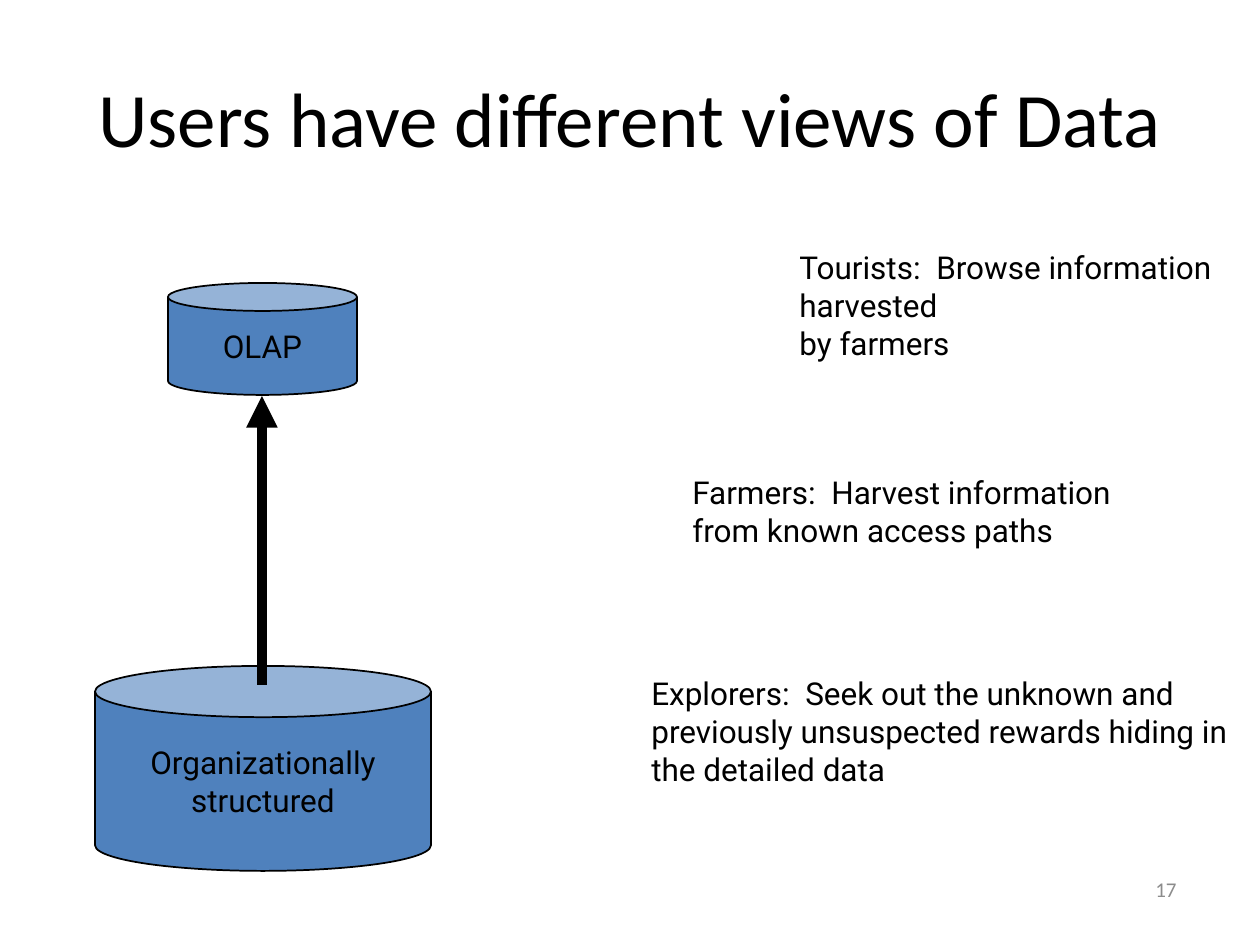
from lxml import etree
from pptx import Presentation
from pptx.dml.color import RGBColor
from pptx.enum.shapes import MSO_CONNECTOR, MSO_SHAPE
from pptx.enum.text import MSO_ANCHOR, PP_ALIGN
from pptx.oxml.ns import qn
from pptx.util import Pt

CAN, STRAIGHT = MSO_SHAPE.CAN, MSO_CONNECTOR.STRAIGHT
TOP, MIDDLE = MSO_ANCHOR.TOP, MSO_ANCHOR.MIDDLE
LEFT, CENTER, RIGHT = PP_ALIGN.LEFT, PP_ALIGN.CENTER, PP_ALIGN.RIGHT
PX = 914400 // 126
BLACK, BLUE, GRAY = "000000", "4F81BD", "8C8C8C"


def color(hex_string):
    return RGBColor.from_string(hex_string)


def write(shape, paragraphs, size=18, font="Roboto", fill=BLACK,
          align=LEFT, anchor=TOP, wrap=True):
    frame = shape.text_frame
    frame.word_wrap = wrap
    frame.vertical_anchor = anchor
    for index, text in enumerate(paragraphs):
        paragraph = frame.add_paragraph() if index else frame.paragraphs[0]
        paragraph.text = text
        paragraph.alignment = align
        paragraph.font.size = Pt(size)
        paragraph.font.name = font
        paragraph.font.color.rgb = color(fill)


presentation = Presentation()
presentation.slide_width = 1260 * PX
presentation.slide_height = 945 * PX
slide = presentation.slides.add_slide(presentation.slide_layouts[5])
shapes = slide.shapes

# Title
title = shapes.title
title.left, title.top, title.width, title.height = 63 * PX, 38 * PX, 1134 * PX, 157 * PX
write(title, ["Users have different views of Data"], size=44, font="Calibri",
      align=CENTER, anchor=MIDDLE)

# Data stores
stores = [
    (["Organizationally", "structured"], 95, 666, 336, 205),
    (["OLAP"], 168, 283, 189, 112),
]
for lines, left, top, width, height in stores:
    store = shapes.add_shape(CAN, left * PX, top * PX, width * PX, height * PX)
    store.shadow.inherit = False
    store.fill.solid()
    store.fill.fore_color.rgb = color(BLUE)
    store.line.color.rgb = color(BLACK)
    store.line.width = Pt(1)
    write(store, lines, align=CENTER, anchor=MIDDLE, wrap=False)

# Arrow from the structured data up to OLAP
arrow = shapes.add_connector(STRAIGHT, 262 * PX, 685 * PX, 262 * PX, 396 * PX)
arrow.line.color.rgb = color(BLACK)
arrow.line.width = Pt(6)
etree.SubElement(arrow.line._get_or_add_ln(), qn("a:tailEnd"), type="triangle")
etree.SubElement(arrow._element.spPr, qn("a:effectLst"))

# Kinds of users
users = [
    (["Explorers:  Seek out the unknown and previously unsuspected rewards "
      "hiding in the detailed data"], 639, 668, 621, 214),
    (["Farmers:  Harvest information", "from known access paths"], 680, 467, 582, 113),
    (["Tourists:  Browse information harvested\vby farmers"], 787, 242, 444, 164),
]
for lines, left, top, width, height in users:
    box = shapes.add_textbox(left * PX, top * PX, width * PX, height * PX)
    write(box, lines)

# Slide number
number = shapes.add_textbox(927 * PX, 858 * PX, 262 * PX, 63 * PX)
write(number, ["17"], size=12, font="Calibri", fill=GRAY, align=RIGHT, anchor=MIDDLE)

presentation.save("out.pptx")
